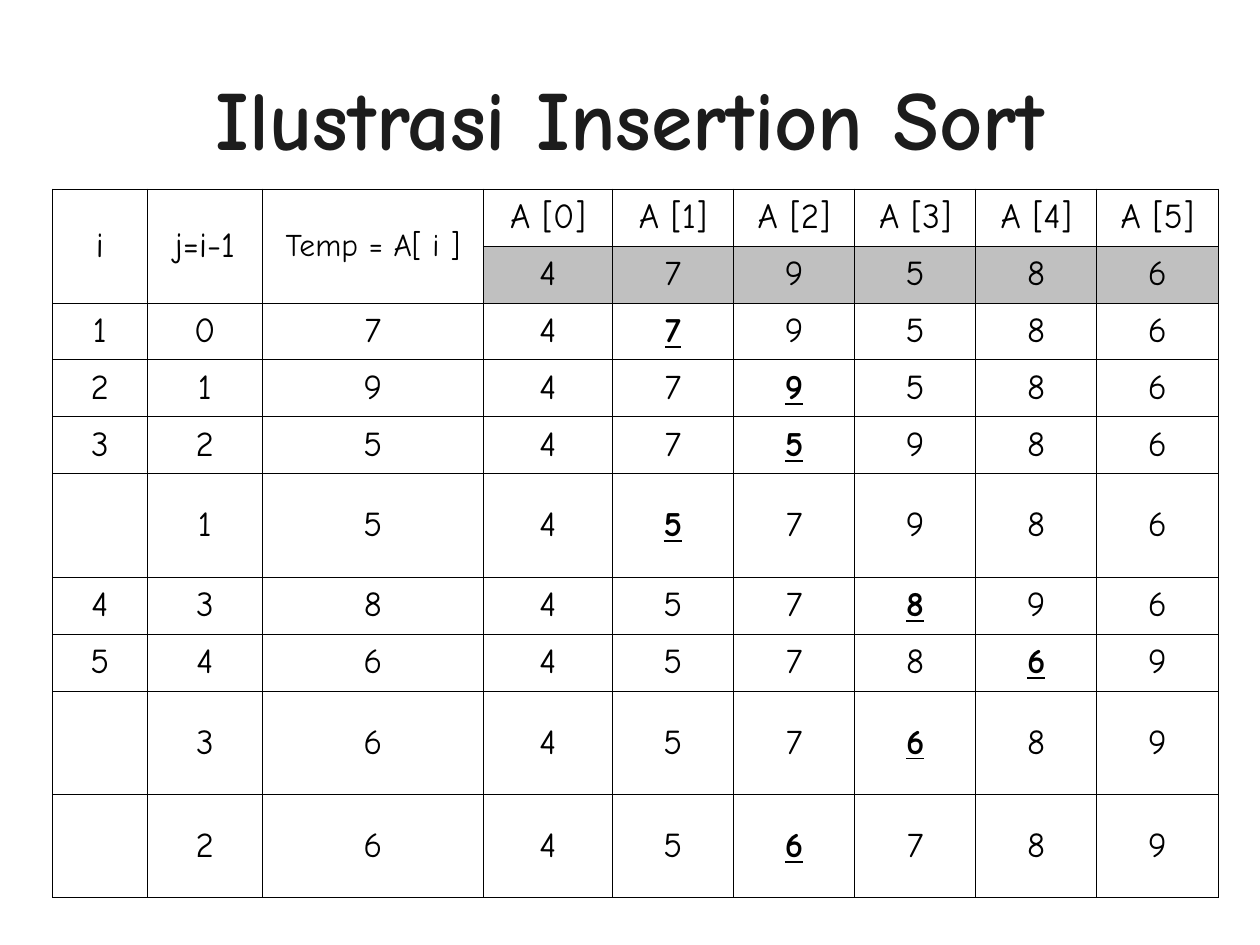
from pptx import Presentation
from pptx.dml.color import RGBColor as RGB
from pptx.enum.text import MSO_ANCHOR as Anchor, PP_ALIGN as Align
from pptx.util import Pt
from lxml.etree import fromstring

NS = "http://schemas.openxmlformats.org/drawingml/2006/main"
COLORS = {"title": "1C1C1C", "text": "000000", "line": "000000", "start": "C0C0C0"}
FACE = "Comic Neue"


def style(para, color, **form):
    para.alignment = Align.CENTER
    para.font.color.rgb = RGB.from_string(COLORS[color])
    for key, val in {"name": FACE, **form}.items():
        setattr(para.font, key, val)


def border(cell):
    props = cell._tc.get_or_add_tcPr()
    for side in "LRTB":
        props.append(fromstring(
            f'<a:ln{side} xmlns:a="{NS}" w="{Pt(0.45)}"><a:solidFill>'
            f'<a:srgbClr val="{COLORS["line"]}"/></a:solidFill></a:ln{side}>'))


deck = Presentation()
deck.slide_width, deck.slide_height = Pt(720), Pt(540)
slide = deck.slides.add_slide(deck.slide_layouts[5])

# Title
title = slide.shapes.title
title.left, title.top, title.width, title.height = Pt(36), Pt(21.6), Pt(648), Pt(90)
title.text_frame.text = "Ilustrasi Insertion Sort"
title.text_frame.vertical_anchor = Anchor.MIDDLE
style(title.text_frame.paragraphs[0], "title", size=Pt(48), bold=True)

# Sorting steps: i, j, temp, then the array
rows = [
    ["i", "j=i-1", "Temp = A[ i ]"] + [f"A [{n}]" for n in range(6)],
    ["", "", "", *"479586"],
    [*"107479586"],
    [*"219479586"],
    [*"325475986"],
    ["", *"15457986"],
    [*"438457896"],
    [*"546457869"],
    ["", *"36457689"],
    ["", *"26456789"],
]
widths = [54.2, 65.8, 126.2, 73.8] + [69.2] * 5
heights = [59.1 if r > 1 and not row[0] else 32.57 for r, row in enumerate(rows)]

# Table grid
frame = slide.shapes.add_table(len(rows), len(widths), Pt(30), Pt(108),
                               Pt(sum(widths)), Pt(sum(heights)))
table = frame.table
table.first_row = table.horz_banding = False
for col, width in zip(table.columns, widths):
    col.width = Pt(width)
for line, height in zip(table.rows, heights):
    line.height = Pt(height)

# Cells: the inserted value is the one equal to temp
for r, row in enumerate(rows):
    for c, text in enumerate(row):
        cell = table.cell(r, c)
        cell.text = text
        cell.vertical_anchor = Anchor.MIDDLE
        mark = r > 1 and c > 2 and text == row[2]
        size = 18 if (r, c) == (0, 2) else 20
        para = cell.text_frame.paragraphs[0]
        style(para, "text", size=Pt(size), bold=mark, underline=mark)
        border(cell)
        if r == 1 and c > 2:
            cell.fill.solid()
            cell.fill.fore_color.rgb = RGB.from_string(COLORS["start"])
        else:
            cell.fill.background()

# Header cells two rows tall
for c in range(3):
    table.cell(0, c).merge(table.cell(1, c))

deck.save("out.pptx")
